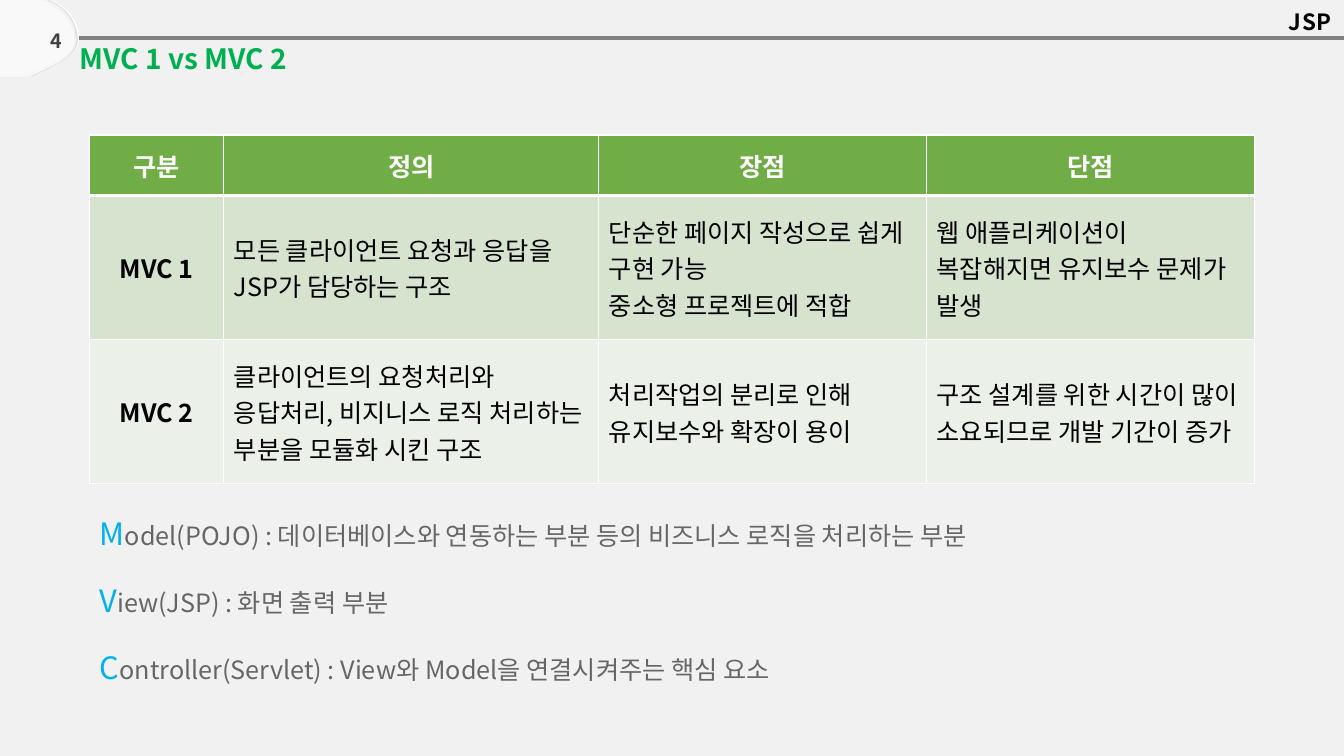
from dataclasses import dataclass

from pptx import Presentation
from pptx.dml.color import RGBColor
from pptx.enum.shapes import MSO_CONNECTOR
from pptx.enum.text import MSO_ANCHOR, MSO_AUTO_SIZE, PP_ALIGN
from pptx.oxml.ns import qn
from pptx.util import Inches, Pt
from lxml.etree import SubElement


@dataclass(frozen=True)
class Theme:
    font: str = "Noto Sans CJK KR"
    back: str = "F2F1F1"
    white: str = "FFFFFF"
    black: str = "000000"
    rule: str = "808080"
    rim: str = "DBD8D8"
    page: str = "404040"
    title: str = "00B050"
    cap: str = "00B0F0"
    body: str = "666666"
    head: str = "70AD47"
    bands: tuple = ("D5E3CF", "EBF1E9")
    small: int = 14
    label: int = 16
    text: int = 18
    large: int = 20
    initial: int = 22


THEME = Theme()

# Edges of the page tab: a start point, then three points per curve
TAB = [(0.4, 0), (0.62, 0.08), (0.74, 0.23), (0.74, 0.4), (0.74, 0.55),
       (0.55, 0.62), (0.35, 0.71), (0.31, 0.73), (0.27, 0.74), (0.24, 0.76)]
RIMS = [
    ([(0.52, 0), (0.7, 0.1), (0.8, 0.24), (0.78, 0.41), (0.77, 0.57),
      (0.57, 0.63), (0.36, 0.72), (0.33, 0.73), (0.29, 0.75), (0.25, 0.76)],
     THEME.white),
    ([(0.44, 0), (0.66, 0.08), (0.78, 0.23), (0.78, 0.4), (0.78, 0.55),
      (0.58, 0.62), (0.38, 0.71), (0.34, 0.73), (0.31, 0.74), (0.27, 0.76)],
     THEME.white),
    ([(0.47, 0), (0.67, 0.08), (0.77, 0.23), (0.77, 0.4), (0.77, 0.55),
      (0.6, 0.62), (0.42, 0.71), (0.38, 0.73), (0.35, 0.74), (0.32, 0.76)],
     THEME.rim),
]

ROWS = [
    ("구분", "정의", "장점", "단점"),
    ("MVC 1", "모든 클라이언트 요청과 응답을 JSP가 담당하는 구조",
     "단순한 페이지 작성으로 쉽게 구현 가능\v중소형 프로젝트에 적합",
     "웹 애플리케이션이 복잡해지면 유지보수 문제가 발생"),
    ("MVC 2", "클라이언트의 요청처리와 응답처리, 비지니스 로직 처리하는 부분을 모듈화 시킨 구조",
     "처리작업의 분리로 인해 유지보수와 확장이 용이",
     "구조 설계를 위한 시간이 많이 소요되므로 개발 기간이 증가"),
]
WIDTHS = (1.33, 3.72, 3.25, 3.25)
HEIGHTS = (0.6, 1.43, 1.43)

TERMS = [
    "Model(POJO) : 데이터베이스와 연동하는 부분 등의 비즈니스 로직을 처리하는 부분",
    "View(JSP) : 화면 출력 부분",
    "Controller(Servlet) : View와 Model을 연결시켜주는 핵심 요소",
]


def style(run, size, color, bold=False):
    run.font.name = THEME.font
    run.font.size = Pt(size)
    run.font.bold = bold
    run.font.color.rgb = RGBColor.from_string(color)


def place(shape, box):
    shape.left, shape.top, shape.width, shape.height = map(Inches, box)


def outline(slide, points, curves, left, top, color):
    """Closed shape; each index in curves starts three points of one curve."""
    spots = [(Inches(left + x), Inches(top + y)) for x, y in points]
    form = slide.shapes.build_freeform(*spots[0], scale=1.0)
    form.add_line_segments(spots[1:], close=True)
    shape = form.convert_to_shape()
    lines = list(shape._element.iter(qn("a:lnTo")))
    for i in curves:
        bend = lines[i].makeelement(qn("a:cubicBezTo"), {})
        lines[i].addprevious(bend)
        for line in lines[i:i + 3]:
            bend.append(line[0])
            line.getparent().remove(line)
    shape.shadow.inherit = False
    shape.line.fill.background()
    shape.fill.solid()
    shape.fill.fore_color.rgb = RGBColor.from_string(color)
    return shape


def label(slide, box, text, size, color, anchor):
    shape = slide.shapes.add_textbox(*map(Inches, box))
    frame = shape.text_frame
    frame.word_wrap = True
    frame.vertical_anchor = anchor
    frame.margin_left = frame.margin_right = frame.margin_top = Inches(0.12)
    frame.margin_bottom = Inches(0.1)
    frame.text = text
    frame.paragraphs[0].alignment = PP_ALIGN.RIGHT
    run = frame.paragraphs[0].runs[0]
    style(run, size, color, True)
    return run


def header(slide, box):
    left, top, width, height = box
    # Rule
    y = Inches(top + 0.38)
    line = slide.shapes.add_connector(
        MSO_CONNECTOR.STRAIGHT, Inches(left + 0.78), y, Inches(left + width), y)
    line.line.width = Pt(3)
    line.line.color.rgb = RGBColor.from_string(THEME.rule)
    SubElement(line._element.spPr, qn("a:effectLst"))
    # Page tab and its thin rims
    tab = outline(slide, TAB + [(0, height), (0, 0)], (0, 3, 6), left, top, THEME.white)
    color = tab.fill._xPr.find(qn("a:solidFill"))[0]
    SubElement(color, qn("a:alpha")).set("val", "60000")
    for edge, shade in RIMS:
        inner = [(x - 0.01, y) for x, y in reversed(edge)]
        outline(slide, edge + inner, (0, 3, 6, 10, 13, 16), left, top, shade)
    # Subject and page number
    topic = label(slide, (left + width - 4.03, top, 4.03, 0.4), "JSP",
                  THEME.label, THEME.black, MSO_ANCHOR.MIDDLE)
    topic.font._element.set("spc", "50")
    label(slide, (left, top + 0.12, 0.74, 0.5), "4",
          THEME.small, THEME.page, MSO_ANCHOR.BOTTOM)


def title(slide, box):
    shape = slide.shapes.title
    place(shape, box)
    frame = shape.text_frame
    frame.text = "MVC 1 vs MVC 2"
    frame.auto_size = MSO_AUTO_SIZE.NONE
    frame.vertical_anchor = MSO_ANCHOR.TOP
    frame.paragraphs[0].alignment = PP_ALIGN.LEFT
    style(frame.paragraphs[0].runs[0], THEME.large, THEME.title, True)


def border(cell, base):
    props = cell._tc.get_or_add_tcPr()
    for i, side in enumerate(("lnL", "lnR", "lnT", "lnB")):
        line = props.makeelement(qn("a:" + side), {"w": str(Pt(base if side == "lnB" else 1))})
        fill = SubElement(line, qn("a:solidFill"))
        SubElement(fill, qn("a:srgbClr")).set("val", THEME.white)
        props.insert(i, line)


def table(slide, box):
    grid = slide.shapes.add_table(len(ROWS), len(WIDTHS), *map(Inches, box)).table
    for col, width in zip(grid.columns, WIDTHS):
        col.width = Inches(width)
    for r, row in enumerate(ROWS):
        grid.rows[r].height = Inches(HEIGHTS[r])
        for c, text in enumerate(row):
            cell = grid.cell(r, c)
            cell.fill.solid()
            cell.fill.fore_color.rgb = RGBColor.from_string(
                THEME.bands[r - 1] if r else THEME.head)
            cell.vertical_anchor = MSO_ANCHOR.MIDDLE
            border(cell, 1 if r else 3)
            para = cell.text_frame.paragraphs[0]
            para.text = text
            strong = r == 0 or c == 0
            para.alignment = PP_ALIGN.CENTER if strong else PP_ALIGN.LEFT
            for run in para.runs:
                style(run, THEME.text, THEME.black if r else THEME.white, strong)


def terms(slide, box):
    shape = slide.placeholders[1]
    place(shape, box)
    frame = shape.text_frame
    frame.auto_size = MSO_AUTO_SIZE.NONE
    for i, text in enumerate(TERMS):
        para = frame.paragraphs[0] if i == 0 else frame.add_paragraph()
        para.text = text[0]
        para.add_run().text = text[1:]
        para.space_before = Pt(21.5 if i else 0)
        props = para._p.get_or_add_pPr()
        props.set("marL", "0")
        props.set("indent", "0")
        SubElement(props, qn("a:buNone"))
        first, rest = para.runs
        style(first, THEME.initial, THEME.cap)
        style(rest, THEME.text, THEME.body)


def main():
    deck = Presentation()
    deck.slide_width, deck.slide_height = Inches(13.33), Inches(7.5)
    slide = deck.slides.add_slide(deck.slide_layouts[1])
    slide.background.fill.solid()
    slide.background.fill.fore_color.rgb = RGBColor.from_string(THEME.back)
    header(slide, (0, 0, 13.33, 0.76))
    title(slide, (0.69, 0.36, 6.68, 0.44))
    table(slide, (0.89, 1.34, sum(WIDTHS), sum(HEIGHTS)))
    terms(slide, (0.89, 5.06, 9.95, 1.82))
    deck.save("out.pptx")


if __name__ == "__main__":
    main()
